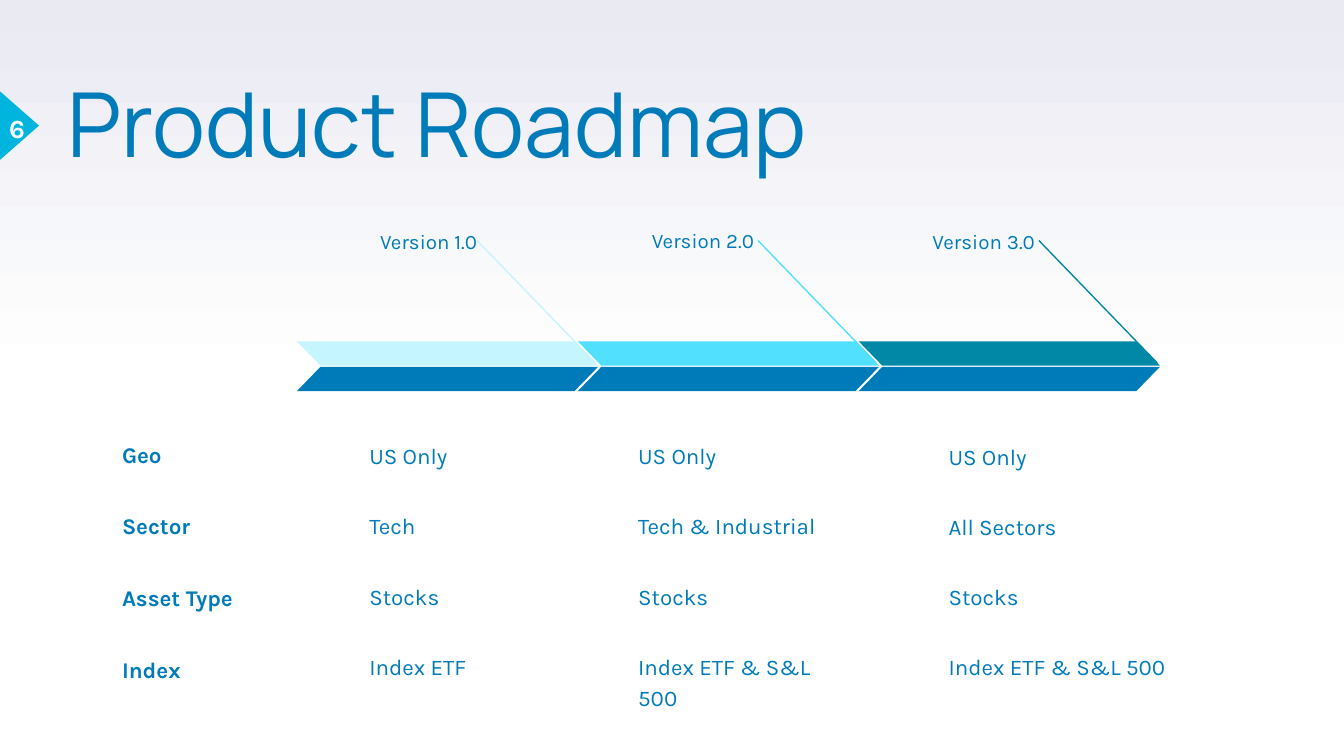
from copy import deepcopy

from lxml.etree import SubElement
from pptx import Presentation
from pptx.dml.color import RGBColor
from pptx.enum.shapes import MSO_CONNECTOR, MSO_SHAPE
from pptx.enum.text import MSO_ANCHOR, MSO_AUTO_SIZE, PP_ALIGN
from pptx.oxml.ns import qn
from pptx.util import Inches, Pt

COLORS = {
    "blue": "007BB9",
    "cyan": "00B5DD",
    "pale": "C5F5FF",
    "bright": "52E0FF",
    "teal": "0088A6",
    "white": "FFFFFF",
    "lavender": "E9EAF2",
}
ROW_LABELS = ["Geo", "Sector", "Asset Type", "Index"]
VERSIONS = [
    ("Version 1.0", "pale", (2.53, 1.58), (2.65, 3.16), 1.54,
     ["US Only", "Tech", "Stocks", "Index ETF"]),
    ("Version 2.0", "bright", (4.59, 1.57), (4.65, 3.16), 1.74,
     ["US Only", "Tech & Industrial", "Stocks", "Index ETF & S&L 500"]),
    ("Version 3.0", "teal", (6.68, 1.58), (6.96, 3.17), 1.84,
     ["US Only", "All Sectors", "Stocks", "Index ETF & S&L 500"]),
]
BAND_LEFT, BAND_STEP = 2.21, 2.09


class RoadmapSlide:
    """Hold the roadmap style and the slide being drawn."""

    def __init__(self, slide):
        self.slide = slide
        self.shapes = slide.shapes

    def color(self, name):
        return RGBColor.from_string(COLORS[name])

    def background(self):
        fill = self.slide.background.fill
        fill.gradient()
        fill.gradient_angle = 90
        bottom, top = fill.gradient_stops
        bottom.color.rgb = self.color("white")
        top.color.rgb = self.color("lavender")
        bottom.position, top.position = 0, 1
        stops = self.slide.element.find(".//" + qn("a:gsLst"))
        middle = deepcopy(stops[0])
        middle.set("pos", "50000")
        stops.insert(1, middle)

    def format_text(self, frame, text, size, color="blue", font="Karla", bold=False,
                    align=PP_ALIGN.LEFT, anchor=MSO_ANCHOR.TOP, inset=0.1,
                    spacing=1.15, after=0):
        frame.text = text
        frame.word_wrap = True
        frame.auto_size = MSO_AUTO_SIZE.NONE
        frame.vertical_anchor = anchor
        frame.margin_left = frame.margin_right = Inches(inset)
        frame.margin_top = frame.margin_bottom = Inches(inset)
        paragraph = frame.paragraphs[0]
        paragraph.alignment = align
        paragraph.line_spacing = spacing
        paragraph.space_after = Pt(after)
        run_font = paragraph.runs[0].font
        run_font.name = font
        run_font.size = Pt(size)
        run_font.bold = bold
        run_font.color.rgb = self.color(color)

    def title(self, text, left, top, width, height):
        heading = self.shapes.title
        heading.left, heading.top = Inches(left), Inches(top)
        heading.width, heading.height = Inches(width), Inches(height)
        self.format_text(heading.text_frame, text, 48, font="Manrope", inset=0, spacing=0.8)

    def text(self, text, left, top, width, height, size=12, **style):
        box = self.shapes.add_textbox(Inches(left), Inches(top), Inches(width), Inches(height))
        self.format_text(box.text_frame, text, size, **style)

    def column(self, texts, left, first_top, last_top, widths, height, **style):
        step = (last_top - first_top) / (len(texts) - 1)
        for row, (text, width) in enumerate(zip(texts, widths)):
            self.text(text, left, first_top + row * step, width, height, **style)

    def shape(self, kind, color, left, top, width, height, adjustment, flip=False, rotation=0):
        shape = self.shapes.add_shape(
            kind, Inches(left), Inches(top), Inches(width), Inches(height))
        shape.shadow.inherit = False
        shape.adjustments[0] = adjustment
        shape.rotation = rotation
        shape.fill.solid()
        shape.fill.fore_color.rgb = self.color(color)
        shape.line.fill.background()
        if flip:
            shape.element.spPr.xfrm.set("flipH", "1")

    def line(self, color, x1, y1, x2, y2):
        line = self.shapes.add_connector(
            MSO_CONNECTOR.STRAIGHT, Inches(x1), Inches(y1), Inches(x2), Inches(y2))
        line.line.color.rgb = self.color(color)
        line.line.width = Pt(0.75)
        SubElement(line.element.spPr, qn("a:effectLst"))

    def band(self, color, left):
        self.line(color, left + 1.34, 1.79, left + 2.22, 2.7)
        self.shape(MSO_SHAPE.PARALLELOGRAM, color, left, 2.54, 2.24, 0.18, 0.97, flip=True)
        self.shape(MSO_SHAPE.PARALLELOGRAM, "blue", left, 2.73, 2.24, 0.18, 0.97)


def main():
    presentation = Presentation()
    presentation.slide_width = Inches(10)
    presentation.slide_height = Inches(10 * 9 / 16)
    roadmap = RoadmapSlide(presentation.slides.add_slide(presentation.slide_layouts[5]))
    roadmap.background()
    roadmap.shape(MSO_SHAPE.ISOSCELES_TRIANGLE, "cyan", -0.11, 0.79, 0.51, 0.29, 0.5,
                  rotation=90)
    roadmap.title("Product Roadmap", 0.5, 0.66, 6.17, 0.59)
    roadmap.column(ROW_LABELS, 0.81, 3.03, 4.63, [1.84] * 4, 0.55,
                   bold=True, anchor=MSO_ANCHOR.BOTTOM)

    for index, (version, color, label_at, values_at, last_width, values) in enumerate(VERSIONS):
        roadmap.band(color, BAND_LEFT + index * BAND_STEP)
        roadmap.text(version, *label_at, 1.12, 0.29, size=11, align=PP_ALIGN.RIGHT, after=16)
        roadmap.column(values, *values_at, 4.73, [1.54] * 3 + [last_width], 0.41, after=16)

    roadmap.text("6", -0.03, 0.72, 0.26, 0.46, size=14, color="white", bold=True,
                 align=PP_ALIGN.CENTER, anchor=MSO_ANCHOR.MIDDLE, spacing=1.0)
    presentation.save("out.pptx")


if __name__ == "__main__":
    main()
